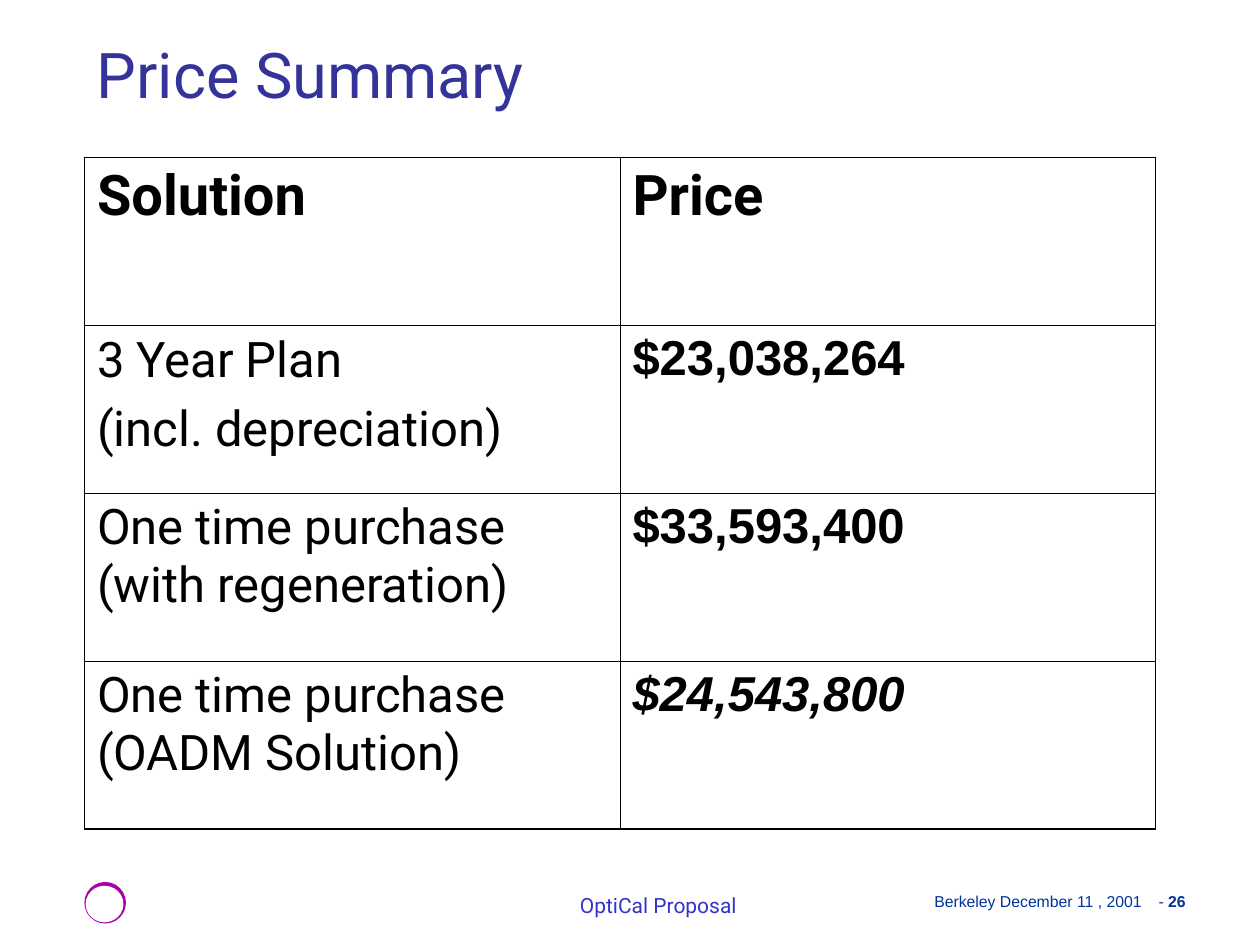
from pptx import Presentation
from pptx.dml.color import RGBColor
from pptx.enum.shapes import MSO_SHAPE
from pptx.enum.text import MSO_ANCHOR, PP_ALIGN
from pptx.oxml import parse_xml
from pptx.oxml.ns import nsdecls
from pptx.util import Inches, Pt

OVAL = MSO_SHAPE.OVAL
TOP, BOTTOM = MSO_ANCHOR.TOP, MSO_ANCHOR.BOTTOM
LEFT, CENTER, RIGHT = PP_ALIGN.LEFT, PP_ALIGN.CENTER, PP_ALIGN.RIGHT

COLORS = {
    "title": "333399",
    "text": "000000",
    "footer": "3333CC",
    "date": "003399",
    "ring": "A603AB",
    "paper": "FFFFFF",
}
HEAD_FONT, NUMBER_FONT = "Roboto", "Arial"
OUTER_LINE, INNER_LINE = 1.08, 0.45

ROWS = [
    (["Solution"], "Price"),
    (["3 Year Plan", "(incl. depreciation)"], "$23,038,264"),
    (["One time purchase (with regeneration)"], "$33,593,400"),
    (["One time purchase (OADM Solution)"], "$24,543,800"),
]


class SlideWriter:
    """Holds the style and the slide being built."""

    def __init__(self, slide):
        self.slide = slide

    def style(self, font, size, color, name=HEAD_FONT, bold=False, italic=False):
        font.name, font.size = name, Pt(size)
        font.bold, font.italic = bold, italic
        font.color.rgb = RGBColor.from_string(COLORS[color])

    def text(self, words, place, size, color, name=HEAD_FONT, align=LEFT,
             anchor=BOTTOM, margins=(0.1, 0.05)):
        box = self.slide.shapes.add_textbox(*map(Inches, place))
        frame = box.text_frame
        frame.word_wrap = True
        frame.vertical_anchor = anchor
        frame.margin_left = frame.margin_right = Inches(margins[0])
        frame.margin_top = frame.margin_bottom = Inches(margins[1])
        frame.text = words
        para = frame.paragraphs[0]
        para.alignment = align
        self.style(para.runs[0].font, size, color, name)
        return para

    def circle(self, place, color):
        shape = self.slide.shapes.add_shape(OVAL, *map(Inches, place))
        shape.shadow.inherit = False
        shape.fill.solid()
        shape.fill.fore_color.rgb = RGBColor.from_string(COLORS[color])
        shape.line.fill.background()

    def borders(self, cell, outer_sides):
        properties = cell._tc.get_or_add_tcPr()
        for side in "LRTB":
            width = Pt(OUTER_LINE if side in outer_sides else INNER_LINE)
            properties.append(parse_xml(
                f'<a:ln{side} {nsdecls("a")} w="{width}"><a:solidFill>'
                f'<a:srgbClr val="{COLORS["text"]}"/></a:solidFill></a:ln{side}>'))

    def cell(self, cell, lines, outer_sides, **font_style):
        self.borders(cell, outer_sides)
        cell.fill.background()
        frame = cell.text_frame
        frame.text = "\n".join(lines)
        for index, para in enumerate(frame.paragraphs):
            if index:
                para.space_before = Pt(7)
            self.style(para.runs[0].font, color="text", **font_style)

    def price_table(self, rows, place):
        table = self.slide.shapes.add_table(len(rows), 2, *map(Inches, place)).table
        table.horz_banding = False
        last = len(rows) - 1
        for index, (solution, price) in enumerate(rows):
            header = index == 0
            edge = "T" if header else "B" if index == last else ""
            size = 32 if header else 28
            self.cell(table.cell(index, 0), solution, "L" + edge,
                      size=size, bold=header)
            self.cell(table.cell(index, 1), [price], "R" + edge, size=size,
                      name=HEAD_FONT if header else NUMBER_FONT,
                      bold=True, italic=index == last)


def main():
    deck = Presentation()
    deck.slide_width, deck.slide_height = Inches(10), Inches(7.5)
    writer = SlideWriter(deck.slides.add_slide(deck.slide_layouts[6]))

    writer.circle((0.67, 7, 0.33, 0.33), "ring")
    writer.circle((0.68, 7.03, 0.3, 0.29), "paper")
    writer.text("Berkeley December 11 , 2001", (7, 7.08, 2.06, 0.15), 9, "date",
                NUMBER_FONT, RIGHT, TOP, (0, 0))
    page = writer.text("- ", (9.1, 7.08, 0.31, 0.15), 9, "date",
                       NUMBER_FONT, RIGHT, TOP, (0, 0))
    number = page.add_run()
    number.text = "26"
    writer.style(number.font, 9, "date", NUMBER_FONT, bold=True)
    writer.text("OptiCal Proposal", (3.64, 6.83, 3.17, 0.5), 12, "footer",
                align=CENTER)
    writer.text("Price Summary", (0.67, 0.17, 8.52, 0.76), 36, "title")
    writer.price_table(ROWS, (0.67, 1.25, 8.5, 5.33))

    deck.save("out.pptx")


if __name__ == "__main__":
    main()
